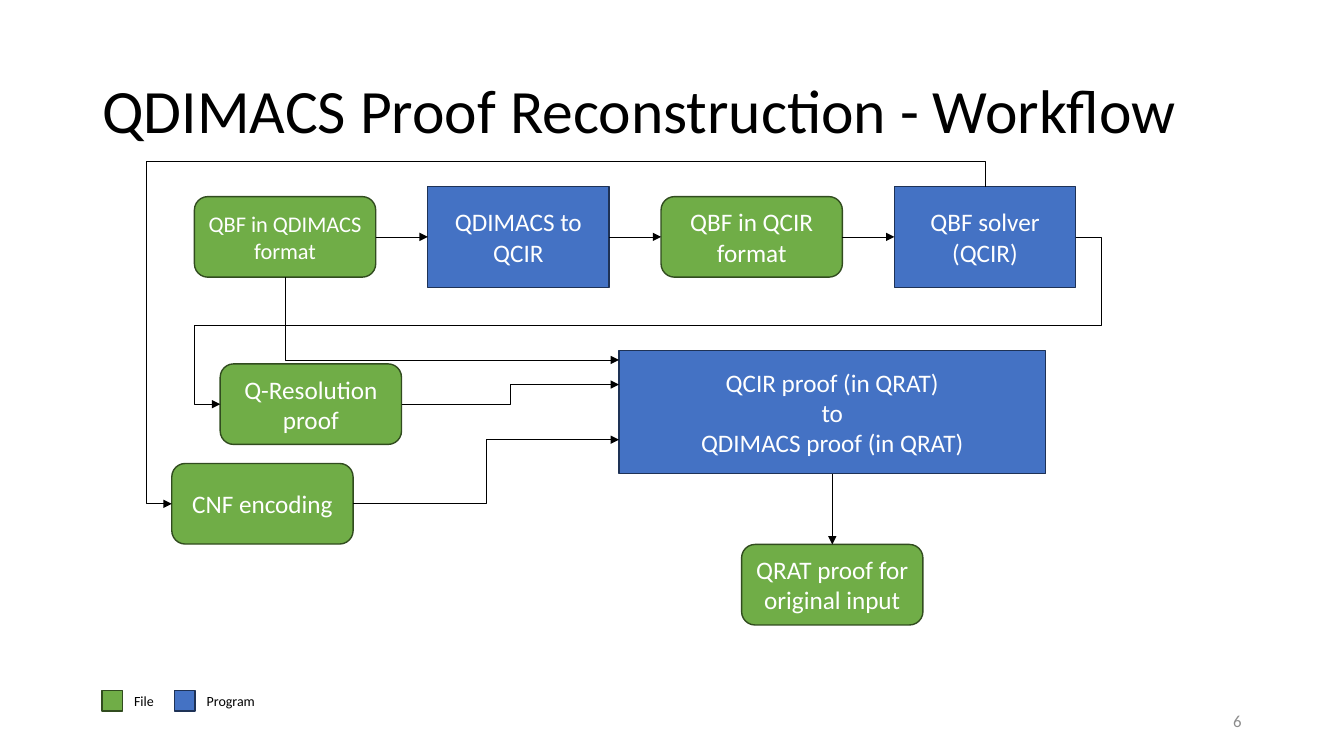
from lxml.etree import SubElement
from pptx import Presentation
from pptx.dml.color import RGBColor
from pptx.enum.shapes import MSO_CONNECTOR, MSO_SHAPE
from pptx.enum.text import MSO_ANCHOR, PP_ALIGN
from pptx.oxml.ns import qn
from pptx.util import Cm, Pt

FONT = "Calibri"
BLACK, WHITE, GREY = "000000", "FFFFFF", "8C8C8C"
# Shape, fill and outline of each kind of step
FILE = (MSO_SHAPE.ROUNDED_RECTANGLE, "70AD47", "314C1F")
PROGRAM = (MSO_SHAPE.RECTANGLE, "4472C4", "1E3256")
TOP, LEFT, BOTTOM, RIGHT = range(4)  # connection sites
STEP_WIDTH, FILE_HEIGHT, PROGRAM_HEIGHT = 4.57, 2.03, 2.54
CLEARANCE = Cm(0.64)  # distance between a step and a line led around it


def color(hex_string):
    return RGBColor.from_string(hex_string)


def write(text_frame, lines, size, font_color, align):
    for index, line in enumerate(lines):
        paragraph = text_frame.add_paragraph() if index else text_frame.paragraphs[0]
        paragraph.alignment = align
        run = paragraph.add_run()
        run.text = line
        run.font.name = FONT
        run.font.size = Pt(size)
        run.font.color.rgb = color(font_color)


def add_box(slide, kind, left, top, width, height, lines=(), size=18):
    geometry, fill, outline = kind
    shape = slide.shapes.add_shape(geometry, Cm(left), Cm(top), Cm(width), Cm(height))
    shape.shadow.inherit = False
    shape.fill.solid()
    shape.fill.fore_color.rgb = color(fill)
    shape.line.color.rgb = color(outline)
    shape.line.width = Pt(1)
    shape.text_frame.word_wrap = True
    shape.text_frame.vertical_anchor = MSO_ANCHOR.MIDDLE
    write(shape.text_frame, lines, size, WHITE, PP_ALIGN.CENTER)
    return shape


def add_label(slide, left, top, width, height, text, size, font_color, align):
    label = slide.shapes.add_textbox(Cm(left), Cm(top), Cm(width), Cm(height))
    label.text_frame.word_wrap = True
    label.text_frame.vertical_anchor = MSO_ANCHOR.MIDDLE
    write(label.text_frame, [text], size, font_color, align)


def add_arrow(slide, kind, source, source_site, target, target_site=LEFT, entry=None):
    """Connect two steps; entry is the height on the target's left side."""
    arrow = slide.shapes.add_connector(kind, 0, 0, 0, 0)
    arrow.begin_connect(source, source_site)
    if entry is None:
        arrow.end_connect(target, target_site)
    else:
        arrow.end_x, arrow.end_y = target.left, target.top + Cm(entry)
    arrow.line.color.rgb = color(BLACK)
    arrow.line.width = Pt(0.5)
    properties = arrow.element.spPr
    SubElement(properties.find(qn("a:ln")), qn("a:tailEnd"), type="triangle")
    SubElement(properties, qn("a:effectLst"))
    return arrow


def bend(arrow, preset, adjustments=()):
    geometry = arrow.element.spPr.find(qn("a:prstGeom"))
    geometry.set("prst", preset)
    values = geometry.find(qn("a:avLst"))
    for number, value in enumerate(adjustments, 1):
        SubElement(values, qn("a:gd"), name=f"adj{number}",
                   fmla=f"val {round(value * 100000)}")


def turn(arrow):
    """Let the connector leave its source vertically: a three-quarter turn."""
    goes_left = arrow.end_x < arrow.begin_x
    goes_down = arrow.end_y > arrow.begin_y
    width, height = arrow.width, arrow.height
    arrow.left += (width - height) // 2
    arrow.top += (height - width) // 2
    arrow.width, arrow.height = height, width
    frame = arrow.element.spPr.find(qn("a:xfrm"))
    frame.set("rot", str(270 * 60000))
    frame.set("flipH", str(int(goes_down)))
    frame.set("flipV", str(int(goes_left)))


def add_title(slide, left, top, width, height, text):
    title = slide.shapes.title
    title.left, title.top, title.width, title.height = map(Cm, (left, top, width, height))
    title.text_frame.word_wrap = True
    title.text_frame.vertical_anchor = MSO_ANCHOR.MIDDLE
    write(title.text_frame, [text], 44, BLACK, PP_ALIGN.LEFT)
    title.text_frame.paragraphs[0].line_spacing = 0.9


def add_workflow(slide, left, top, width, height):
    # Upper row: files and programs alternate on one centre line
    row = [
        (FILE, FILE_HEIGHT, ["QBF in QDIMACS format"], 16),
        (PROGRAM, PROGRAM_HEIGHT, ["QDIMACS to QCIR"], 18),
        (FILE, FILE_HEIGHT, ["QBF in QCIR format"], 18),
        (PROGRAM, PROGRAM_HEIGHT, ["QBF solver", "(QCIR)"], 18),
    ]
    steps = [
        add_box(slide, kind, left + 1.2 + 5.88 * index, top + 1.91 - step_height / 2,
                STEP_WIDTH, step_height, lines, size)
        for index, (kind, step_height, lines, size) in enumerate(row)
    ]
    qdimacs_file, solver = steps[0], steps[-1]

    # Lower part: solver output, converter and final proof
    converter_left, converter_width = left + 11.9, 10.75
    converter = add_box(slide, PROGRAM, converter_left, top + 4.78, converter_width, 3.1,
                        ["QCIR proof (in QRAT)", "to", "QDIMACS proof (in QRAT)"])
    resolution, encoding, final_proof = [
        add_box(slide, FILE, file_left, file_top, STEP_WIDTH, FILE_HEIGHT, [text])
        for file_left, file_top, text in [
            (left + 1.85, top + 5.11, "Q-Resolution proof"),
            (left + 0.63, top + 7.62, "CNF encoding"),
            (converter_left + (converter_width - STEP_WIDTH) / 2,
             top + height - FILE_HEIGHT, "QRAT proof for original input"),
        ]
    ]

    # Straight arrows
    for source, target in zip(steps, steps[1:]):
        add_arrow(slide, MSO_CONNECTOR.STRAIGHT, source, RIGHT, target)
    add_arrow(slide, MSO_CONNECTOR.STRAIGHT, converter, BOTTOM, final_proof, TOP)

    # Files that feed the converter
    add_arrow(slide, MSO_CONNECTOR.ELBOW, resolution, RIGHT, converter, entry=0.85)
    add_arrow(slide, MSO_CONNECTOR.ELBOW, encoding, RIGHT, converter, entry=2.24)
    input_arrow = add_arrow(slide, MSO_CONNECTOR.ELBOW, qdimacs_file, BOTTOM,
                            converter, entry=0.23)
    bend(input_arrow, "bentConnector2")
    turn(input_arrow)

    # Solver output led around the other steps
    proof_arrow = add_arrow(slide, MSO_CONNECTOR.ELBOW, solver, RIGHT, resolution)
    margin = CLEARANCE / proof_arrow.width
    bend(proof_arrow, "bentConnector5", [-margin, 0.53, 1 + margin])
    encoding_arrow = add_arrow(slide, MSO_CONNECTOR.ELBOW, solver, TOP, encoding)
    bend(encoding_arrow, "bentConnector4",
         [-CLEARANCE / encoding_arrow.height, 1 + CLEARANCE / encoding_arrow.width])
    turn(encoding_arrow)


def add_legend(slide, left, top, width, height):
    for index, (kind, text) in enumerate([(FILE, "File"), (PROGRAM, "Program")]):
        swatch_left = left + 1.83 * index
        add_box(slide, (MSO_SHAPE.RECTANGLE, *kind[1:]), swatch_left, top, height, height)
        label_left = swatch_left + height + 0.04
        label_width = 1.23 if index == 0 else left + width - label_left
        add_label(slide, label_left, top - 0.08, label_width, height + 0.17,
                  text, 10, BLACK, PP_ALIGN.LEFT)


def main():
    presentation = Presentation()
    presentation.slide_width, presentation.slide_height = Cm(33.87), Cm(19.05)
    slide = presentation.slides.add_slide(presentation.slide_layouts[5])
    add_title(slide, 2.33, 1.01, 29.21, 3.68, "QDIMACS Proof Reconstruction - Workflow")
    add_workflow(slide, 3.7, 4.06, 24.03, 11.69)
    add_legend(slide, 2.57, 17.4, 5.9, 0.52)
    add_label(slide, 23.92, 17.66, 7.62, 1.01, "6", 12, GREY, PP_ALIGN.RIGHT)
    presentation.save("out.pptx")


if __name__ == "__main__":
    main()
